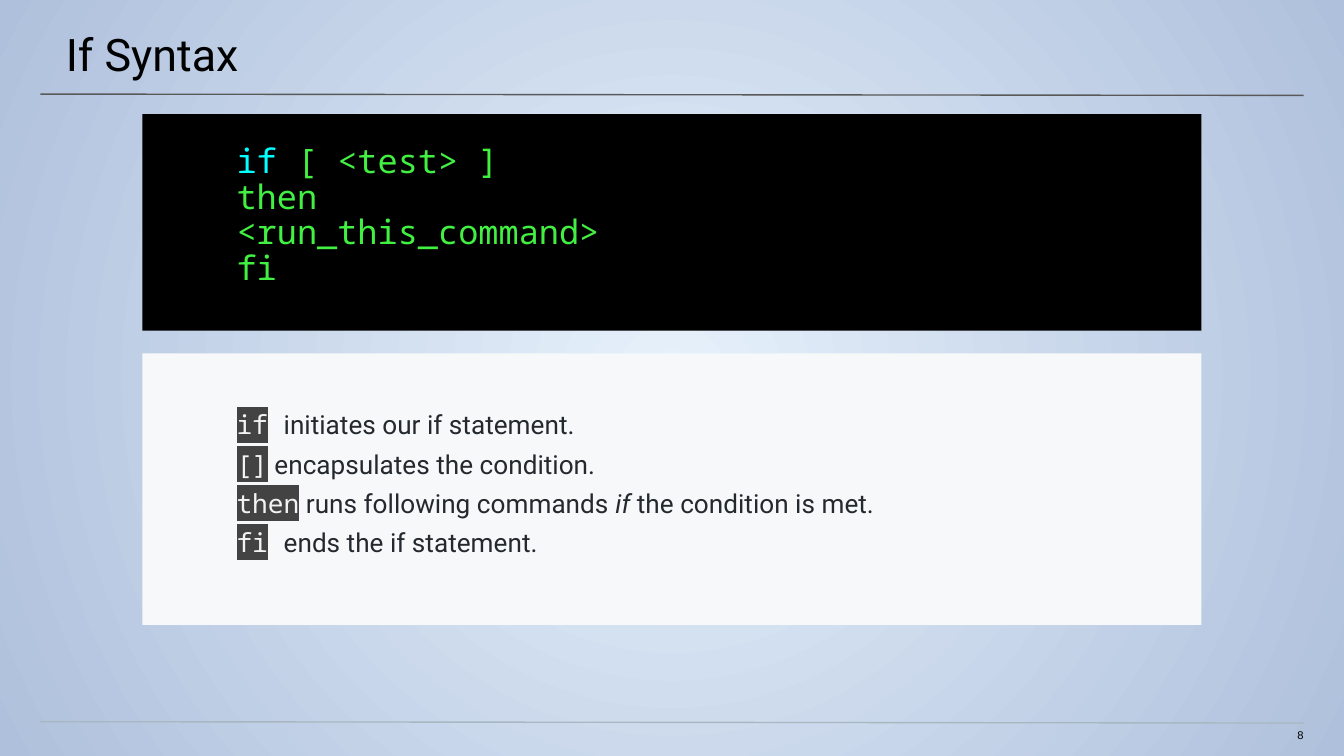
from lxml import etree
from pptx import Presentation
from pptx.dml.color import RGBColor
from pptx.enum.shapes import MSO_CONNECTOR, MSO_SHAPE
from pptx.enum.text import MSO_ANCHOR, PP_ALIGN
from pptx.oxml import parse_xml
from pptx.oxml.ns import nsdecls, qn
from pptx.util import Inches, Pt

COLORS = {
    "center": "E6F1FB", "edge": "AFC0DC", "black": "000000",
    "title_rule": "595959", "footer_rule": "A9B7C0",
    "keyword": "00FFFF", "code": "41F040", "panel": "F6F8FA",
    "prose": "24292E", "chip_text": "F3F3F3", "chip": "434343",
}
COLORS["code"] = "41F041"
SANS, MONO, SMALL = "Roboto", "Noto Sans Mono", "Arial"
CELL = 0.1  # grid cell in inches: 100 columns by 56.2 rows
PANEL_LEFT, PANEL_WIDTH = 10.6, 78.8


def rgb(name):
    return RGBColor.from_string(COLORS[name])


def grid(*cells):
    return [Inches(cell * CELL) for cell in cells]


class Deck:
    def __init__(self, columns, rows):
        self.prs = Presentation()
        self.prs.slide_width, self.prs.slide_height = grid(columns, rows)
        self.slide = self.prs.slides.add_slide(self.prs.slide_layouts[6])

    def background(self, center, edge):
        fill = self.slide.background.fill
        fill.gradient()
        for stop, color in zip(fill.gradient_stops, (center, edge)):
            stop.color.rgb = rgb(color)
        gradient = self.slide._element.find(".//" + qn("a:gradFill"))
        gradient.replace(gradient.find(qn("a:lin")), parse_xml(
            f'<a:path {nsdecls("a")} path="circle"><a:fillToRect '
            'l="50000" t="50000" r="50000" b="50000"/></a:path>'))

    def rule(self, row, color):
        ends = grid(3, row, 97, row + 0.1)
        line = self.slide.shapes.add_connector(MSO_CONNECTOR.STRAIGHT, *ends)
        line.line.color.rgb = rgb(color)
        line.line.width = Pt(0.75)
        etree.SubElement(line._element.spPr, qn("a:effectLst"))

    def frame(self, shape, insets):
        frame = shape.text_frame
        frame.word_wrap = True
        frame.vertical_anchor = MSO_ANCHOR.TOP
        (frame.margin_left, frame.margin_top,
         frame.margin_right, frame.margin_bottom) = grid(*insets)
        return frame

    def text(self, box, insets):
        return self.frame(self.slide.shapes.add_textbox(*grid(*box)), insets)

    def panel(self, row, height, color, insets):
        box = grid(PANEL_LEFT, row, PANEL_WIDTH, height)
        shape = self.slide.shapes.add_shape(MSO_SHAPE.RECTANGLE, *box)
        shape.shadow.inherit = False
        shape.fill.solid()
        shape.fill.fore_color.rgb = rgb(color)
        shape.line.fill.background()
        return self.frame(shape, insets)

    def paragraph(self, frame, runs, size, font=None, color=None,
                  align=PP_ALIGN.LEFT, spacing=None):
        """Add one paragraph; each run is (text, style)."""
        first = not frame.paragraphs[0].runs
        para = frame.paragraphs[0] if first else frame.add_paragraph()
        para.alignment = align
        para.font.size = Pt(size)
        if font:
            para.font.name = font
        if color:
            para.font.color.rgb = rgb(color)
        if spacing:
            para.line_spacing = spacing
        for text, style in runs:
            self.run(para, text, **style)
        return para

    def run(self, para, text, font=None, color=None, highlight=None,
            italic=None, bold=None):
        run = para.add_run()
        run.text = text
        run.font.italic, run.font.bold = italic, bold
        if font:
            run.font.name = font
        if color:
            run.font.color.rgb = rgb(color)
        if highlight:
            fill = run._r.rPr.find(qn("a:solidFill"))
            fill.addnext(parse_xml(
                f'<a:highlight {nsdecls("a")}><a:srgbClr '
                f'val="{COLORS[highlight]}"/></a:highlight>'))


def main():
    deck = Deck(100, 56.25)
    deck.background("center", "edge")
    deck.rule(7, "title_rule")
    deck.rule(53.7, "footer_rule")

    # Title
    title = deck.text((-0.1, 0, 100.3, 5.8), (5, 2, 3, 1))
    deck.paragraph(title, [("If Syntax", {})], 24, SANS, "black")

    # Syntax of the statement
    syntax = deck.panel(8.5, 16.1, "black", (7, 2.3, 1, 1))
    code_lines = [
        [("if", {"color": "keyword"}), (" [ <test> ]", {"color": "code"})],
        [("then", {"color": "code"})],
        [("<run_this_command>", {"color": "code"})],
        [("fi", {"color": "code"})],
    ]
    for runs in code_lines:
        deck.paragraph(syntax, runs, 18, MONO, spacing=0.88)

    # Page number
    page = deck.text((94.1, 54.2, 2.9, 1.2), (0, 0, 0, 1))
    deck.paragraph(page, [("8", {})], 6, SMALL, "black", PP_ALIGN.RIGHT)

    # Meaning of each keyword
    chip = {"font": MONO, "color": "chip_text", "highlight": "chip"}
    prose = {"font": SANS, "color": "prose"}
    gap = {"font": MONO, "color": "prose"}
    meanings = [
        ("if", [(" ", gap), ("initiates our if statement.", prose)]),
        ("[]", [(" encapsulates the condition.", prose)]),
        ("then", [(" runs following commands ", prose),
                  ("if", {**prose, "italic": True}),
                  (" the condition is met.", prose)]),
        ("fi", [(" ", {**gap, "bold": True}),
                ("ends the if statement.", prose)]),
    ]
    glossary = deck.panel(26.3, 20.2, "panel", (7, 4.1, 1, 1))
    for index, (keyword, meaning) in enumerate(meanings):
        para = deck.paragraph(glossary, [(keyword, chip), *meaning], 14,
                              spacing=1.01)
        if index:
            para.space_before = Pt(4)

    deck.prs.save("out.pptx")


if __name__ == "__main__":
    main()
